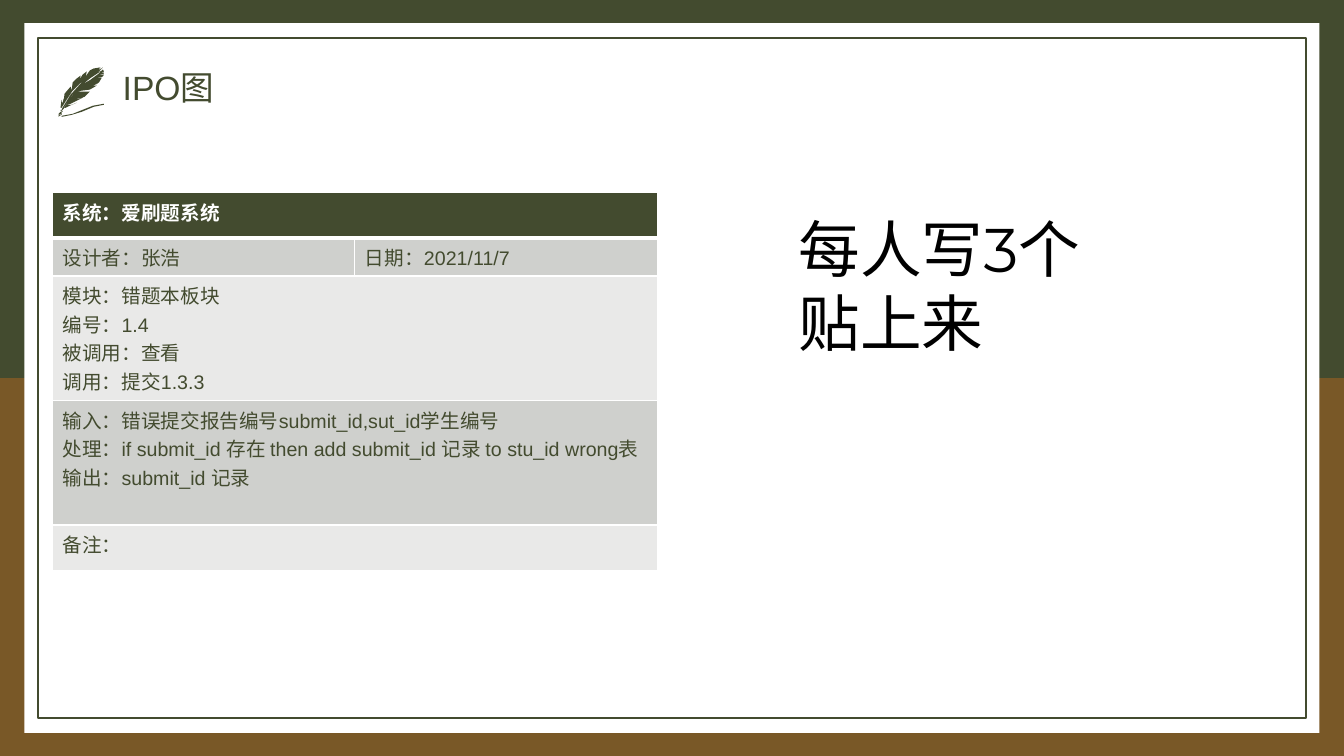
from lxml import etree
from pptx import Presentation
from pptx import util as u
from pptx.dml.color import RGBColor
from pptx.enum import shapes, text
from pptx.oxml.ns import qn

GREEN = RGBColor(0x43, 0x4B, 0x2F)
BROWN = RGBColor(0x79, 0x58, 0x27)
WHITE = RGBColor(0xFF, 0xFF, 0xFF)
BLACK = RGBColor(0, 0, 0)
DARK_BAND = RGBColor(0xCF, 0xD0, 0xCD)
LIGHT_BAND = RGBColor(0xE9, 0xE9, 0xE8)

WIDTH, HEIGHT = 960, 540

FEATHER = [
    [(1, 46), (2, 46), (2, 47), (1, 47)],
    [(2, 44), (3, 44), (3, 47), (1, 48), (0, 49), (0, 46)],
    [(2, 42), (4, 43), (4, 44), (2, 43)],
    [(45, 36), (45, 37), (35, 39), (23, 44), (13, 47), (3, 49), (3, 48),
     (14, 46), (24, 42), (34, 38)],
    [(43, 3), (31, 11), (20, 20), (12, 30), (5, 41), (4, 42), (3, 42),
     (4, 40), (12, 27), (22, 16), (29, 11), (37, 6)],
    [(44, 2), (45, 4), (42, 6), (45, 5), (45, 6), (39, 8), (45, 7), (44, 9),
     (36, 11), (43, 10), (40, 15), (35, 17), (39, 16), (34, 18), (38, 18),
     (31, 22), (23, 23), (18, 24), (23, 24), (31, 24), (26, 29), (23, 30),
     (15, 31), (20, 31), (24, 30), (12, 36), (8, 37), (13, 37), (18, 35),
     (11, 38), (7, 40), (5, 40), (13, 28), (22, 18), (32, 12), (40, 6)],
    [(41, 0), (39, 4), (42, 0), (40, 3), (44, 0), (40, 4), (36, 7), (21, 16),
     (14, 23), (8, 32), (3, 40), (2, 40), (3, 32), (4, 36), (5, 31), (5, 34),
     (6, 26), (12, 19), (13, 23), (14, 15), (18, 11), (22, 8), (21, 12),
     (24, 7), (28, 4), (27, 9), (31, 3), (35, 1)],
]

TABLE_ROWS = [
    (32.4, GREEN, [["系统：爱刷题系统"]]),
    (27.2, DARK_BAND, [["设计者：张浩"], ["日期：2021/11/7"]]),
    (89, LIGHT_BAND, [["模块：错题本板块", "编号：1.4", "被调用：查看", "调用：提交1.3.3"]]),
    (89, DARK_BAND, [["输入：错误提交报告编号submit_id,sut_id学生编号",
                      "处理：if submit_id 存在 then add submit_id 记录 to stu_id wrong表",
                      "输出：submit_id 记录"]]),
    (32.4, LIGHT_BAND, [["备注："]]),
]


def add_rect(s, x, y, w, h, fill=None, line=None):
    """Add a rectangle with an optional fill and outline."""
    sp = s.shapes.add_shape(shapes.MSO_SHAPE.RECTANGLE, u.Pt(x), u.Pt(y), u.Pt(w), u.Pt(h))
    sp.shadow.inherit = False
    if fill is None:
        sp.fill.background()
    else:
        sp.fill.solid()
        sp.fill.fore_color.rgb = fill
    if line is None:
        sp.line.fill.background()
    else:
        sp.line.color.rgb = line
        sp.line.width = u.Pt(1.5)


def add_frame(s, x, y, w, h):
    """Draw the two-colour border, the white page and its thin outline."""
    add_rect(s, x, y + h / 2, w, h / 2, fill=BROWN)
    add_rect(s, x, y, w, h / 2, fill=GREEN)
    add_rect(s, x + 17.5, y + 16.5, w - 35, h - 33, fill=WHITE)
    add_rect(s, x + 27.3, y + 27.3, w - 54.6, h - 54.6, line=GREEN)


def add_feather(s, x, y):
    """Draw the quill icon with its top left corner at the given point."""
    fb = None
    for outline in FEATHER:
        if fb is None:
            fb = s.shapes.build_freeform(*outline[0], scale=u.Pt(0.72))
        else:
            fb.move_to(*outline[0])
        fb.add_line_segments(outline[1:], close=True)
    sp = fb.convert_to_shape(u.Pt(x), u.Pt(y))
    sp.shadow.inherit = False
    sp.fill.solid()
    sp.fill.fore_color.rgb = GREEN
    sp.line.fill.background()


def add_text(s, x, y, w, h, words, size, font, color, anchor, spacing=None):
    """Add one wrapped paragraph of text."""
    tf = s.shapes.add_textbox(u.Pt(x), u.Pt(y), u.Pt(w), u.Pt(h)).text_frame
    tf.word_wrap = True
    tf.vertical_anchor = anchor
    p = tf.paragraphs[0]
    p.text = words
    p.line_spacing = spacing
    set_font(p, size, font, color)


def set_font(p, size, font, color, bold=False):
    """Set the font of a whole paragraph."""
    p.font.size = u.Pt(size)
    p.font.name = font
    p.font.color.rgb = color
    p.font.bold = bold


def set_borders(cell, top, bottom):
    """Give a cell white borders, with its own top and bottom widths."""
    tc_pr = cell._tc.get_or_add_tcPr()
    for i, (side, width) in enumerate([("L", 1), ("R", 1), ("T", top), ("B", bottom)]):
        ln = etree.Element(qn(f"a:ln{side}"), w=str(u.Pt(width)))
        fill = etree.SubElement(ln, qn("a:solidFill"))
        etree.SubElement(fill, qn("a:srgbClr"), val=str(WHITE))
        tc_pr.insert(i, ln)


def add_ipo_table(s, x, y, w):
    """Build the IPO table, merging the rows that hold a single entry."""
    height = sum(row[0] for row in TABLE_ROWS)
    table = s.shapes.add_table(len(TABLE_ROWS), 2, u.Pt(x), u.Pt(y), u.Pt(w), u.Pt(height)).table
    for col in table.columns:
        col.width = u.Pt(w / 2)
    for i, (row_height, band, entries) in enumerate(TABLE_ROWS):
        table.rows[i].height = u.Pt(row_height)
        header = i == 0
        if len(entries) == 1:
            table.cell(i, 0).merge(table.cell(i, 1))
        for j in range(2):
            cell = table.cell(i, j)
            cell.fill.solid()
            cell.fill.fore_color.rgb = band
            set_borders(cell, 3 if i == 1 else 1, 3 if header else 1)
        for j, lines in enumerate(entries):
            tf = table.cell(i, j).text_frame
            tf.text = "\n".join(lines)
            for p in tf.paragraphs:
                set_font(p, 14, "Montserrat" if header else "Arial",
                         WHITE if header else GREEN, header)


def main():
    """Build the IPO slide and save it."""
    prs = Presentation()
    prs.slide_width, prs.slide_height = u.Pt(WIDTH), u.Pt(HEIGHT)
    s = prs.slides.add_slide(prs.slide_layouts[6])
    add_frame(s, 0, 0, WIDTH, HEIGHT)
    add_feather(s, 41.8, 48.2)
    add_text(s, 80.6, 46.8, 432, 34.6, "IPO图", 24, "Arial", GREEN,
             text.MSO_ANCHOR.MIDDLE, 0.9)
    add_ipo_table(s, 37.5, 137.5, 432)
    add_text(s, 563.4, 147.2, 221, 113.8, "每人写3个贴上来", 44, "Montserrat", BLACK,
             text.MSO_ANCHOR.TOP)
    prs.save("out.pptx")


if __name__ == "__main__":
    main()
